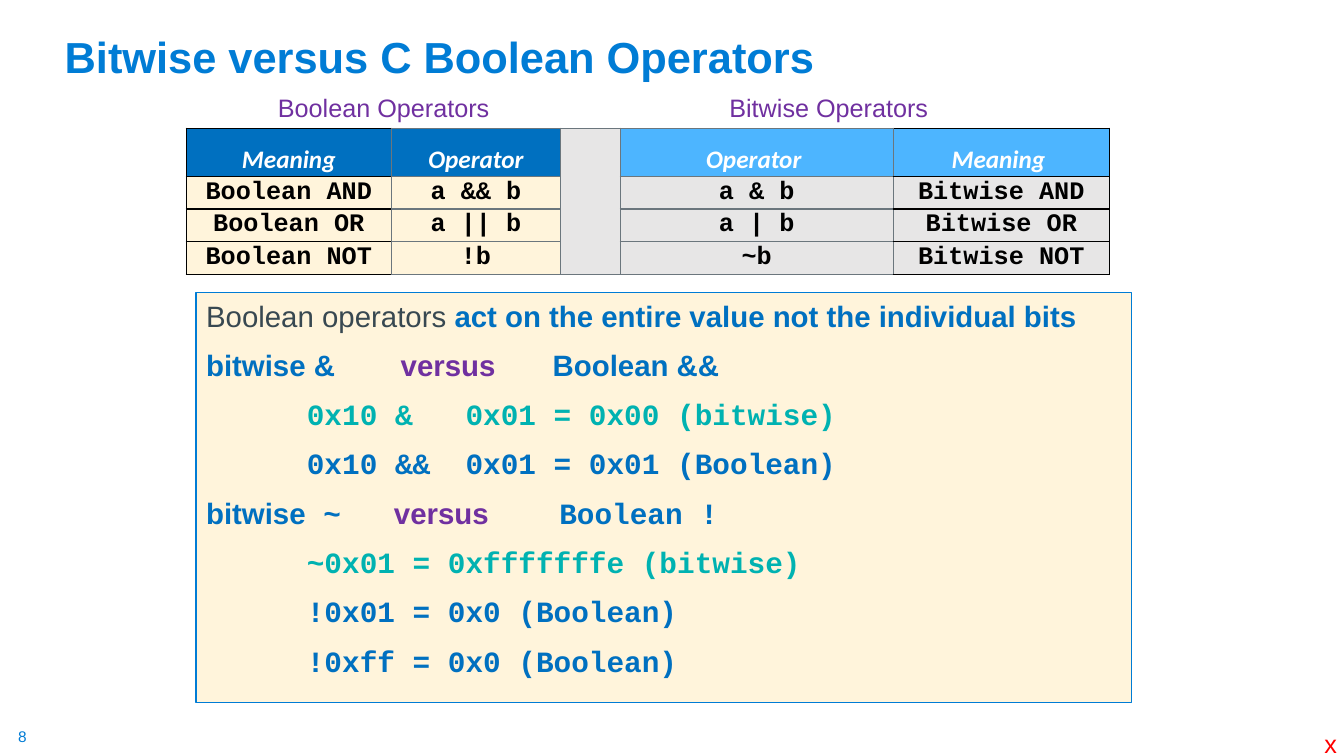
from lxml import etree
from pptx import Presentation
from pptx.dml.color import RGBColor
from pptx.enum.text import MSO_ANCHOR, MSO_AUTO_SIZE, PP_ALIGN
from pptx.oxml.ns import qn
from pptx.util import Pt

LEFT, CENTER = PP_ALIGN.LEFT, PP_ALIGN.CENTER
TOP, MIDDLE, BOTTOM = MSO_ANCHOR.TOP, MSO_ANCHOR.MIDDLE, MSO_ANCHOR.BOTTOM
NO_FIT = MSO_AUTO_SIZE.NONE

AZURE = RGBColor(0x00, 0x7C, 0xD5)
BLUE = RGBColor(0x00, 0x70, 0xC0)
SKY = RGBColor(0x4D, 0xB5, 0xFF)
TEAL = RGBColor(0x00, 0xB2, 0xB1)
PURPLE = RGBColor(0x70, 0x30, 0xA0)
SLATE = RGBColor(0x38, 0x48, 0x51)
GRAY = RGBColor(0x6B, 0x76, 0x7D)
SILVER = RGBColor(0xE7, 0xE6, 0xE6)
CREAM = RGBColor(0xFF, 0xF4, 0xDB)
BLACK = RGBColor(0x00, 0x00, 0x00)
WHITE = RGBColor(0xFF, 0xFF, 0xFF)
RED = RGBColor(0xFF, 0x00, 0x00)

SANS, MONO, HEADING = "Arial", "Courier New", "Calibri"


class OperatorSlide:
    """Hold the current slide and its style, and add each kind of element."""

    def __init__(self, presentation):
        self.slide = presentation.slides.add_slide(presentation.slide_layouts[1])

    def apply(self, target, values):
        for attribute, value in values.items():
            setattr(target, attribute, value)

    def place(self, shape, left, top, width, height):
        self.apply(shape, {"left": Pt(left), "top": Pt(top),
                           "width": Pt(width), "height": Pt(height)})

    def run(self, paragraph, text, color, size, font=SANS, bold=False, italic=False, tracking=0):
        run = paragraph.add_run()
        run.text = text
        self.apply(run.font, {"name": font, "size": Pt(size), "bold": bold, "italic": italic})
        run.font.color.rgb = color
        if tracking:
            run._r.get_or_add_rPr().set("spc", str(round(tracking * 100)))

    def title(self, text, box):
        title = self.slide.shapes.title
        self.place(title, *box)
        self.apply(title.text_frame, {"vertical_anchor": BOTTOM, "auto_size": NO_FIT,
                                      "word_wrap": True})
        heading = title.text_frame.paragraphs[0]
        self.apply(heading, {"alignment": LEFT, "line_spacing": 0.9})
        self.run(heading, text, AZURE, 31, bold=True)

    def label(self, text, box, color, size):
        label = self.slide.shapes.add_textbox(*map(Pt, box))
        self.apply(label.text_frame, {"margin_left": 0, "margin_right": 0, "margin_top": 0,
                                      "margin_bottom": 0, "word_wrap": False})
        self.run(label.text_frame.paragraphs[0], text, color, size)

    def body(self, lines, box):
        body = self.slide.placeholders[1]
        self.place(body, *box)
        body.fill.solid()
        body.fill.fore_color.rgb = CREAM
        body.line.color.rgb = AZURE
        body.line.width = Pt(0.75)
        frame = body.text_frame
        self.apply(frame, {"vertical_anchor": TOP, "auto_size": NO_FIT, "word_wrap": True})
        for index, (margin, runs) in enumerate(lines):
            line = frame.add_paragraph() if index else frame.paragraphs[0]
            properties = line._p.get_or_add_pPr()
            properties.set("marL", str(Pt(margin)))
            properties.set("indent", "0")
            etree.SubElement(properties, qn("a:buNone"))
            self.apply(line, {"alignment": LEFT, "line_spacing": 1.0,
                              "space_before": Pt(10 if index else 0)})
            for text, color, font, bold, tracking in runs:
                self.run(line, text, color, 21, font, bold, tracking=tracking)

    def border(self, cell, sides):
        properties = cell._tc.get_or_add_tcPr()
        for side in "LRTB":
            edge = etree.SubElement(properties, qn("a:ln" + side), w=str(Pt(1)))
            fill = etree.SubElement(edge, qn("a:solidFill"))
            color = BLACK if side in sides else GRAY
            etree.SubElement(fill, qn("a:srgbClr"), val=str(color))

    def table(self, rows, box, widths, heights, header_fills, row_fills):
        table = self.slide.shapes.add_table(len(rows), len(widths), *map(Pt, box)).table
        self.apply(table, {"first_row": False, "horz_banding": False})
        for column, width in zip(table.columns, widths):
            column.width = Pt(width)
        for row, height in zip(table.rows, heights):
            row.height = Pt(height)
        outer = {0: "LTB", len(widths) - 1: "RTB"}
        for r, texts in enumerate(rows):
            fills = row_fills if r else header_fills
            for c, text in enumerate(texts):
                cell = table.cell(r, c)
                margin = Pt(1.44 if r else 0.72)
                self.apply(cell, {"vertical_anchor": MIDDLE, "margin_left": Pt(5.4),
                                  "margin_right": Pt(5.4), "margin_top": margin,
                                  "margin_bottom": margin})
                self.border(cell, outer.get(c, ""))
                cell.fill.solid()
                cell.fill.fore_color.rgb = fills[c]
                if text:
                    entry = cell.text_frame.paragraphs[0]
                    self.apply(entry, {"alignment": CENTER, "line_spacing": 1.0 if r else 1.5})
                    self.run(entry, text, BLACK if r else WHITE, 18,
                             MONO if r else HEADING, True, not r)
        gap = widths.index(min(widths))
        table.cell(0, gap).merge(table.cell(len(rows) - 1, gap))


def main():
    presentation = Presentation()
    presentation.slide_width, presentation.slide_height = Pt(960), Pt(540)
    page = OperatorSlide(presentation)

    explanation = [
        (0, [("Boolean operators ", SLATE, SANS, False, 0),
             ("act on the entire value not the individual bits", BLUE, SANS, True, 0)]),
        (0, [("bitwise &", BLUE, SANS, True, 0), (" ", BLUE, SANS, True, 41),
             ("versus", PURPLE, SANS, True, 0), (" ", PURPLE, SANS, True, 35),
             ("Boolean &&", BLUE, SANS, True, 0)]),
        (72, [("0x10 &   0x01 = 0x00 (bitwise)", TEAL, MONO, True, 0)]),
        (72, [("0x10 &&  0x01 = 0x01 (Boolean)", BLUE, MONO, True, 0)]),
        (0, [("bitwise", BLUE, SANS, True, 0), (" ~", BLUE, MONO, True, 0),
             (" ", BLUE, MONO, True, 25.2), ("versus", PURPLE, SANS, True, 0),
             (" ", BLUE, MONO, True, 37.8), ("Boolean !", BLUE, MONO, True, 0)]),
        (72, [("~0x01 = 0xfffffffe (bitwise)", TEAL, MONO, True, 0)]),
        (72, [("!0x01 = 0x0 (Boolean)", BLUE, MONO, True, 0)]),
        (72, [("!0xff = 0x0 (Boolean)", BLUE, MONO, True, 0)]),
    ]
    operators = [
        ("Meaning", "Operator", "", "Operator ", "Meaning "),
        ("Boolean AND", "a && b", "", "a & b", "Bitwise AND"),
        ("Boolean OR", "a || b", "", "a | b", "Bitwise OR"),
        ("Boolean NOT", "!b", "", "~b", "Bitwise NOT"),
    ]

    page.title("Bitwise versus C Boolean Operators", (39, 6.5, 828, 56))
    page.body(explanation, (140, 209, 668, 292.5))
    page.table(operators, (133, 91.5, 659.5, 103.5), (146.5, 121, 42.5, 195, 154.5),
               (34.5, 23, 23, 23), (BLUE, BLUE, SILVER, SKY, SKY),
               (CREAM, CREAM, SILVER, SILVER, SILVER))
    page.label("Boolean Operators", (198.5, 66, 152.5, 21), PURPLE, 18)
    page.label("Bitwise Operators", (521, 66, 143.5, 21), PURPLE, 18)
    page.label("8", (13, 519.5, 13.5, 13.5), AZURE, 11)
    page.label("x", (946, 520, 9, 20), RED, 18)
    presentation.save("out.pptx")


if __name__ == "__main__":
    main()
